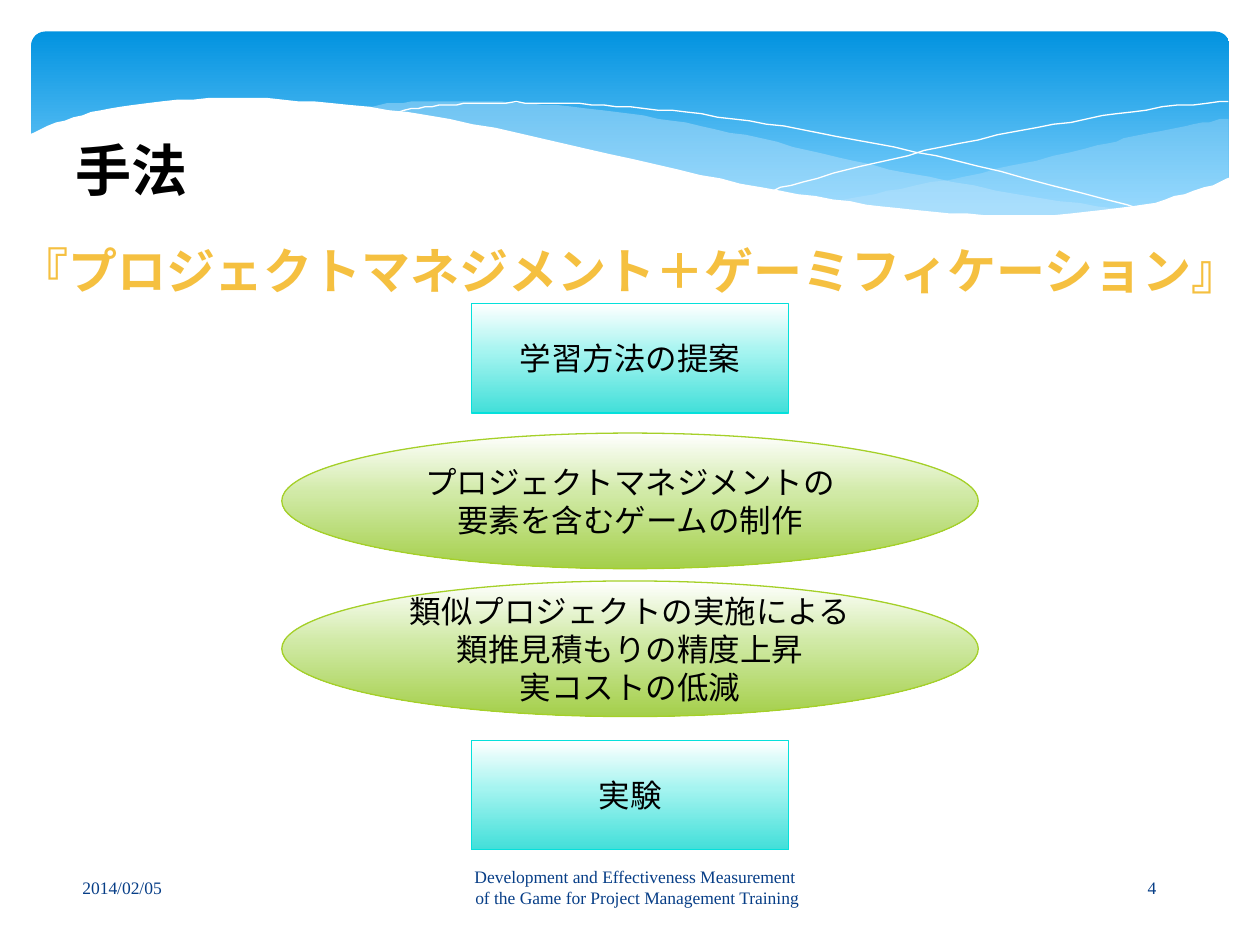
from copy import deepcopy

from lxml import etree
from pptx import Presentation
from pptx import util as u
from pptx.dml.color import RGBColor
from pptx.enum import shapes, text
from pptx.oxml.ns import qn

SLIDE = (720, 540)
CJK, LATIN = "Noto Sans CJK JP", "Times New Roman"

TITLE = "手法"
HEADLINE = "『プロジェクトマネジメント＋ゲーミフィケーション』"
AQUA = dict(kind=shapes.MSO_SHAPE.RECTANGLE, size=(181.5, 62.5), line="05E0DB",
            stops=[(0, "FFFFFF"), (0.44, "A5F4F0"), (1, "42DFD9")])
GREEN = dict(kind=shapes.MSO_SHAPE.OVAL, size=(398, 77.5), line="A5D028",
             stops=[(0, "FFFFFF"), (0.44, "D1EAA7"), (1, "A4CF4A")])
STEPS = [  # style, top, lines
    (AQUA, 173.5, ["学習方法の提案"]),
    (GREEN, 247.5, ["プロジェクトマネジメントの", "要素を含むゲームの制作"]),
    (GREEN, 332, ["類似プロジェクトの実施による", "類推見積もりの精度上昇", "実コストの低減"]),
    (AQUA, 423, ["実験"]),
]
FOOTERS = [  # left, width, lines
    (25, 89.5, ["2014/02/05"]),
    (117.5, 493, ["Development and Effectiveness Measurement ",
                  "of the Game for Project Management Training"]),
    (612.5, 91.5, ["4"]),
]

# Each wave is a list of curves, every curve a list of knots.
RIGHT_WAVE = [
    [(702, 67.7), (682.5, 71), (652, 77), (620, 85), (561, 98.6), (507, 109.4),
     (476, 115.2)],
    [(476, 115.2), (527, 121), (578, 123.8), (615, 123.1), (652, 118.8),
     (683, 110.9), (702.5, 101.5)],
]
LEFT_WAVE = [
    [(643, 120.2), (581, 110.9), (508, 96.5), (453, 83.5), (400, 72), (352, 64),
     (302, 59), (260, 57.6), (225, 59), (206, 62)],
    [(206, 62), (246, 67.5), (291, 76), (323, 83.5), (382, 97.2), (433, 108),
     (479, 116), (530, 121.7), (573, 124.3), (610, 123.8), (643, 120.2)],
]
FALLING_LINE = [
    [(222.5, 64.8), (243, 61.2), (270, 59.2), (300, 58.5), (338, 59.8),
     (384, 63.4), (438, 70.6), (500, 82), (572, 98), (653, 119.5)],
]
RISING_LINE = [
    [(441.5, 108.7), (484, 97.2), (538, 84.2), (602, 71.3), (655, 62.6),
     (702, 57.6)],
]
WHITE_WAVE = [
    [(16.5, 77), (42.5, 67), (76, 60), (127.5, 56), (180, 58.3), (245, 66.2),
     (322, 82), (400, 100), (466.5, 112.3), (523, 120.2), (582.5, 123.1),
     (638.5, 119.5), (677, 110.9), (703.5, 101.2)],
    [(703.5, 161), (16.5, 161)],
]


def rgb(value):
    return RGBColor.from_string(value)


def smooth(knots, steps=6):
    """Points of a Catmull-Rom curve through the knots."""
    if len(knots) < 3:
        return knots
    padded = [knots[0], *knots, knots[-1]]
    points = [knots[0]]
    for a, b, c, d in zip(padded, padded[1:], padded[2:], padded[3:]):
        for step in range(1, steps + 1):
            t = step / steps
            points.append(tuple(
                (2 * q + (r - p) * t + (2 * p - 5 * q + 4 * r - s) * t ** 2
                 + (3 * q - p - 3 * r + s) * t ** 3) / 2
                for p, q, r, s in zip(a, b, c, d)))
    return points


def add_wave(page, curves, fill=None, opacity=None):
    """Filled wave, or a white hairline when no fill is given."""
    start, *rest = [point for curve in curves for point in smooth(curve)]
    builder = page.shapes.build_freeform(*start, scale=u.Pt(1))
    builder.add_line_segments(rest, close=fill is not None)
    wave = builder.convert_to_shape()
    wave.shadow.inherit = False
    if fill is None:
        wave.fill.background()
        wave.line.color.rgb = rgb("FFFFFF")
        wave.line.width = u.Pt(0)
        return
    wave.line.fill.background()
    wave.fill.solid()
    wave.fill.fore_color.rgb = rgb(fill)
    if opacity is not None:
        color = wave.element.spPr.find(f"{qn('a:solidFill')}/{qn('a:srgbClr')}")
        etree.SubElement(color, qn("a:alpha"), val=str(opacity * 1000))


def fill_gradient(shape, stops):
    """Fill from top to bottom."""
    shape.fill.gradient()
    shape.fill.gradient_angle = 270
    stop_list = shape.element.spPr.find(f".//{qn('a:gsLst')}")
    while len(stop_list) < len(stops):
        stop_list.append(deepcopy(stop_list[0]))
    for stop, (position, color) in zip(shape.fill.gradient_stops, stops):
        stop.position = position
        stop.color.rgb = rgb(color)


def write(box, lines, size, font=CJK, color="000000", bold=False,
          align=text.PP_ALIGN.CENTER, anchor=text.MSO_ANCHOR.MIDDLE):
    frame = box.text_frame
    frame.word_wrap = True
    frame.vertical_anchor = anchor
    for index, line in enumerate(lines):
        para = frame.add_paragraph() if index else frame.paragraphs[0]
        para.alignment = align
        para.line_spacing = u.Pt(1.2 * size)
        span = para.add_run()
        span.text = line
        span.font.name = font
        span.font.size = u.Pt(size)
        span.font.bold = bold
        span.font.color.rgb = rgb(color)
        east_asian = etree.Element(qn("a:ea"), typeface=CJK)
        span.font._element.find(qn("a:latin")).addnext(east_asian)


def add_text(page, left, top, width, height, lines, size, **style):
    box = page.shapes.add_textbox(*map(u.Pt, (left, top, width, height)))
    write(box, lines, size, **style)


def add_banner(page):
    band = page.shapes.add_shape(shapes.MSO_SHAPE.ROUNDED_RECTANGLE,
                                 *map(u.Pt, (18, 18, 684.5, 112.5)))
    band.adjustments[0] = 0.07
    band.shadow.inherit = False
    band.line.fill.background()
    fill_gradient(band, [(0, "0293E0"), (0.9, "83D3FE")])
    add_wave(page, RIGHT_WAVE, "C6E7FC", 29)
    add_wave(page, LEFT_WAVE, "C6E7FC", 40)
    add_wave(page, FALLING_LINE)
    add_wave(page, RISING_LINE)
    add_wave(page, WHITE_WAVE, "FFFFFF")


def add_step(page, style, top, lines):
    width, height = style["size"]
    left = (SLIDE[0] - width) / 2
    step = page.shapes.add_shape(style["kind"],
                                 *map(u.Pt, (left, top, width, height)))
    step.shadow.inherit = False
    fill_gradient(step, style["stops"])
    step.line.color.rgb = rgb(style["line"])
    step.line.width = u.Pt(0.75)
    write(step, lines, 18)


def main():
    deck = Presentation()
    deck.slide_width, deck.slide_height = map(u.Pt, SLIDE)
    page = deck.slides.add_slide(deck.slide_layouts[6])
    add_banner(page)
    for left, width, lines in FOOTERS:
        add_text(page, left, 492.5, width, 29, lines, 10, font=LATIN,
                 color="073E87")
    add_text(page, 36, 74, 366, 50.5, [TITLE], 32, font="Arial", bold=True,
             align=text.PP_ALIGN.LEFT, anchor=text.MSO_ANCHOR.TOP)
    add_text(page, 0, 134, SLIDE[0], 41, [HEADLINE], 28, color="F5C040",
             bold=True, anchor=text.MSO_ANCHOR.TOP)
    for style, top, lines in STEPS:
        add_step(page, style, top, lines)
    deck.save("out.pptx")


if __name__ == "__main__":
    main()
